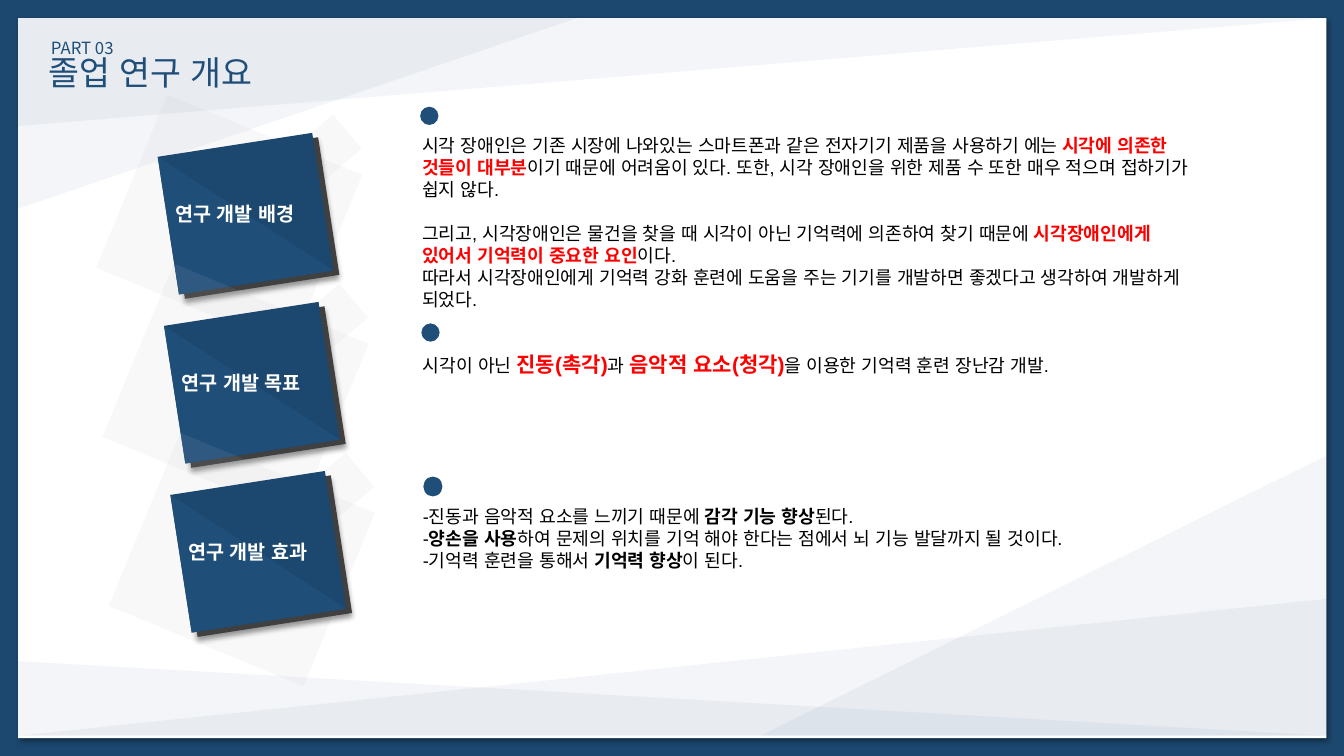
from dataclasses import dataclass

from lxml.etree import SubElement
from pptx import Presentation
from pptx.dml.color import RGBColor
from pptx.enum.lang import MSO_LANGUAGE_ID as Language
from pptx.enum.shapes import MSO_SHAPE as Preset
from pptx.enum.text import MSO_AUTO_SIZE as AutoSize, PP_ALIGN as Align
from pptx.oxml.ns import qn
from pptx.util import Cm, Pt


@dataclass(frozen=True)
class Theme:
    navy: str = "1C476E"
    blue: str = "1F4E79"
    white: str = "FFFFFF"
    black: str = "000000"
    red: str = "FF0000"
    gray: str = "BFBFBF"
    charcoal: str = "404040"
    korean_font: str = "Noto Sans CJK KR"
    latin_font: str = "Arial"
    heading: int = 24
    kicker: int = 12
    label: int = 14
    body: int = 13
    emphasis: int = 15
    leading: float = 1.21


THEME = Theme()
PLAIN = {"size": THEME.body, "color": THEME.black}
BOLD = {**PLAIN, "bold": True}
RED = {**BOLD, "color": THEME.red}
BIG_RED = {**RED, "size": THEME.emphasis}

KICKER = "PART 03"
HEADING = "졸업 연구 개요"
CARD_LABELS = ["연구 개발 배경", "연구 개발 목표", "연구 개발 효과"]

BACKGROUND_TEXT = [
    [("시각 장애인은 기존 시장에 나와있는 스마트폰과 같은 전자기기 제품을 사용하기 에는 ", PLAIN),
     ("시각에 의존한 것들이 대부분", RED),
     ("이기 때문에 어려움이 있다. 또한, 시각 장애인을 위한 제품 수 또한 매우 적으며 접하기가 쉽지 않다.", PLAIN)],
    [("그리고, 시각장애인은 물건을 찾을 때 시각이 아닌 기억력에 의존하여 찾기 때문에 ", PLAIN),
     ("시각장애인에게 있어서 기억력이 중요한 요인", RED),
     ("이다.", PLAIN)],
    [("따라서 시각장애인에게 기억력 강화 훈련에 도움을 주는 기기를 개발하면 좋겠다고 생각하여 "
      "개발하게 되었다.", PLAIN)],
]
GOAL_TEXT = [
    [("시각이 아닌 ", PLAIN), ("진동(촉각)", BIG_RED), ("과 ", PLAIN),
     ("음악적 요소(청각)", BIG_RED), ("을 이용한 기억력 훈련 장난감 개발.", PLAIN)],
]
EFFECT_TEXT = [
    [("-진동과 음악적 요소를 느끼기 때문에 ", PLAIN), ("감각 기능 향상", BOLD), ("된다.", PLAIN)],
    [("-", PLAIN), ("양손을 사용", BOLD),
     ("하여 문제의 위치를 기억 해야 한다는 점에서 뇌 기능 발달까지 될 것이다.", PLAIN)],
    [("-기억력 훈련을 통해서 ", PLAIN), ("기억력 향상", BOLD), ("이 된다.", PLAIN)],
]

# Boxes are left, top, width, height in centimetres.
# bullet box, text box, paragraphs, gaps before paragraphs in points
SECTIONS = [
    ((10.59, 2.69, 0.46, 0.46), (10.39, 3.25, 19.96, 4.7), BACKGROUND_TEXT, {1: 15.73}),
    ((10.62, 8.15, 0.46, 0.46), (10.41, 8.74, 19.15, 0.89), GOAL_TEXT, {}),
    ((10.67, 12.01, 0.48, 0.5), (10.41, 12.6, 22.43, 1.93), EFFECT_TEXT, {}),
]

PANEL = (0.46, 0.46, 32.97, 18.14)
FACET_BOTTOM = 18.54
# width, height, at right, at bottom, flips
FACETS = [
    (32.97, 3.45, True, True, "H"),
    (14.27, 7.06, True, True, "H"),
    (32.97, 2.72, False, False, "V"),
    (14.07, 4.8, False, False, "V"),
    (32.97, 1.88, False, True, ""),
]

CARD_START, CARD_STEP = (4.22, 3.63), (0.16, 4.26)
TILE_SIZE, TILE_TURN = (3.94, 3.51), -8.8
# preset, offset from the tile, size, rotation, colour, look
CARD_LAYERS = [
    (Preset.RECTANGLE, (-1.1, -0.41), (5.31, 4.72), 22.4, THEME.gray, {"alpha": 10}),
    (Preset.RECTANGLE, (3.5, -0.53), (1.12, 1.24), 49.9, THEME.gray, {"alpha": 10}),
    (Preset.RECTANGLE, (0.15, 0.11), TILE_SIZE, TILE_TURN, THEME.charcoal, {"shadow_angle": 90}),
    (Preset.RECTANGLE, (0, 0), TILE_SIZE, TILE_TURN, THEME.navy, {}),
    (Preset.RIGHT_TRIANGLE, (0, 0), TILE_SIZE, TILE_TURN, THEME.blue, {}),
]
LABEL_OFFSET, LABEL_SIZE = (-0.05, 1.32), (4.04, 0.86)


def add_alpha(color_element, percent):
    SubElement(color_element, qn("a:alpha"), val=str(percent * 1000))


def add_shadow(shape, angle):
    effects = shape.element.spPr.find(qn("a:effectLst"))
    shadow = SubElement(effects, qn("a:outerShdw"), blurRad=str(Pt(4)), dist=str(Pt(3)),
                        dir=str(angle * 60000), algn="tl", rotWithShape="0")
    add_alpha(SubElement(shadow, qn("a:srgbClr"), val=THEME.black), 40)


def add_figure(slide, preset, box, color, rotation=0, flips="", alpha=None, shadow_angle=None):
    shape = slide.shapes.add_shape(preset, *map(Cm, box))
    shape.rotation = rotation
    shape.shadow.inherit = False
    shape.line.fill.background()
    shape.fill.solid()
    shape.fill.fore_color.rgb = RGBColor.from_string(color)
    properties = shape.element.spPr
    for axis in flips:
        properties.find(qn("a:xfrm")).set("flip" + axis, "1")
    if alpha is not None:
        add_alpha(properties.find(qn("a:solidFill"))[0], alpha)
    if shadow_angle is not None:
        add_shadow(shape, shadow_angle)


def add_run(paragraph, text, size, color, bold=False, font=THEME.korean_font):
    run = paragraph.add_run()
    run.text = text
    run.font.size = Pt(size)
    run.font.bold = bold
    run.font.color.rgb = RGBColor.from_string(color)
    run.font.name = font
    run.font.language_id = Language.KOREAN
    SubElement(run.font._element, qn("a:ea"), typeface=THEME.korean_font)


def add_text(slide, box, paragraphs, wrap=True, align=Align.LEFT, gaps=None, **run_format):
    """Add a text box; each paragraph is a list of (text, run format) pairs."""
    frame = slide.shapes.add_textbox(*map(Cm, box)).text_frame
    frame.word_wrap = wrap
    frame.auto_size = AutoSize.SHAPE_TO_FIT_TEXT
    for index, runs in enumerate(paragraphs):
        paragraph = frame.add_paragraph() if index else frame.paragraphs[0]
        paragraph.alignment = align
        paragraph.space_before = Pt((gaps or {}).get(index, 0))
        formats = [(text, {**look, **run_format}) for text, look in runs]
        paragraph.line_spacing = Pt(THEME.leading * max(look["size"] for _, look in formats))
        for text, look in formats:
            add_run(paragraph, text, **look)


def add_backdrop(slide):
    slide.background.fill.solid()
    slide.background.fill.fore_color.rgb = RGBColor.from_string(THEME.navy)
    add_figure(slide, Preset.RECTANGLE, PANEL, THEME.white, shadow_angle=45)
    left, top, panel_width, _ = PANEL
    for width, height, at_right, at_bottom, flips in FACETS:
        x = left + panel_width - width if at_right else left
        y = FACET_BOTTOM - height if at_bottom else top
        add_figure(slide, Preset.RIGHT_TRIANGLE, (x, y, width, height), THEME.blue,
                   flips=flips, alpha=5)


def add_card(slide, index, label):
    x, y = (start + index * step for start, step in zip(CARD_START, CARD_STEP))
    for preset, (dx, dy), size, rotation, color, look in CARD_LAYERS:
        add_figure(slide, preset, (x + dx, y + dy, *size), color, rotation, **look)
    dx, dy = LABEL_OFFSET
    add_text(slide, (x + dx, y + dy, *LABEL_SIZE), [[(label, {})]],
             size=THEME.label, color=THEME.white, bold=True)


def main():
    presentation = Presentation()
    presentation.slide_width, presentation.slide_height = Cm(33.87), Cm(19.05)
    slide = presentation.slides.add_slide(presentation.slide_layouts[6])
    add_backdrop(slide)
    add_text(slide, (0.97, 1.17, 6.22, 1.27), [[(HEADING, {})]], wrap=False,
             size=THEME.heading, color=THEME.blue)
    add_text(slide, (1.02, 0.81, 2.11, 0.76), [[(KICKER, {})]], wrap=False, align=Align.CENTER,
             size=THEME.kicker, color=THEME.blue)
    for index, label in enumerate(CARD_LABELS):
        add_card(slide, index, label)
    for bullet_box, text_box, paragraphs, gaps in SECTIONS:
        add_figure(slide, Preset.OVAL, bullet_box, THEME.blue)
        add_text(slide, text_box, paragraphs, gaps=gaps, font=THEME.latin_font)
    presentation.save("out.pptx")


if __name__ == "__main__":
    main()
